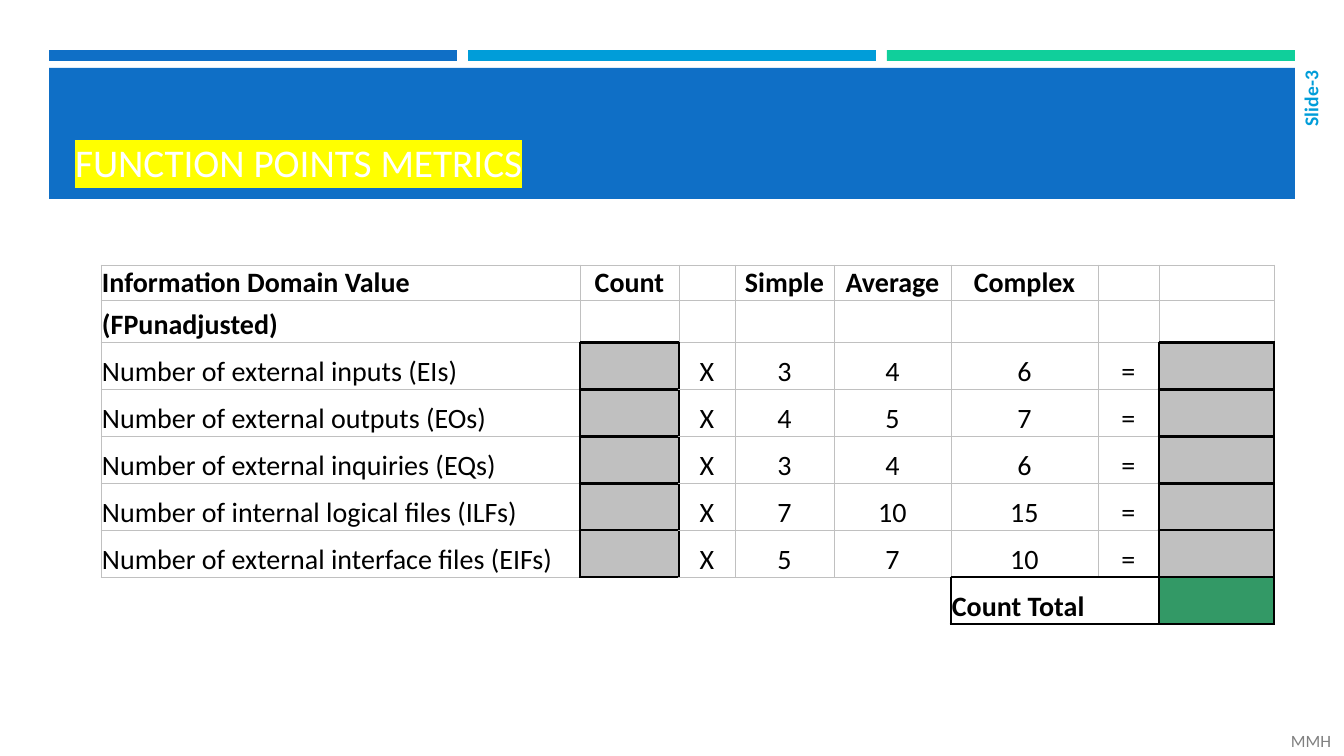
from dataclasses import dataclass
from typing import NamedTuple

import lxml.etree
import pptx
import pptx.dml.color
import pptx.enum.shapes
import pptx.enum.text
import pptx.oxml.ns
import pptx.util

SCALE = 12192000 / 1344
ALIGN = pptx.enum.text.PP_ALIGN
ANCHOR = pptx.enum.text.MSO_ANCHOR
QN = pptx.oxml.ns.qn


@dataclass(frozen=True)
class Theme:
    font: str = "Calibri"
    blue: str = "0F6FC6"
    cyan: str = "009DD9"
    mint: str = "10CF9B"
    white: str = "FFFFFF"
    black: str = "000000"
    mark: str = "FFFF00"
    grid: str = "C0C0C0"
    total: str = "339966"
    mute: str = "808080"
    head: float = 28
    body: float = 20
    side: float = 14
    foot: float = 12.3
    thin: float = 0.5
    thick: float = 2


class Box(NamedTuple):
    left: int
    top: int
    width: int
    height: int


class Bar(NamedTuple):
    box: Box
    color: str


class Style(NamedTuple):
    size: float
    color: str
    bold: bool = False
    align: ALIGN = ALIGN.LEFT


class Metric(NamedTuple):
    name: str
    simple: int
    average: int
    complex: int


THEME = Theme()
BARS = [
    Bar(Box(49 + 419 * i, 50, 408, 11), color)
    for i, color in enumerate((THEME.blue, THEME.cyan, THEME.mint))
] + [Bar(Box(49, 68, 1246, 131), THEME.blue)]

METRICS = [
    Metric("Number of external inputs (EIs)", 3, 4, 6),
    Metric("Number of external outputs (EOs)", 4, 5, 7),
    Metric("Number of external inquiries (EQs)", 3, 4, 6),
    Metric("Number of internal logical files (ILFs)", 7, 10, 15),
    Metric("Number of external interface files (EIFs)", 5, 7, 10),
]
ROWS = [
    ["Information Domain Value", "Count", "", "Simple", "Average", "Complex", "", ""],
    ["(FPunadjusted)"] + [""] * 7,
    *([m.name, "", "X", str(m.simple), str(m.average), str(m.complex), "=", ""]
      for m in METRICS),
    [""] * 5 + ["Count Total", "", ""],
]
WIDTHS = [479, 99, 56, 99, 117, 147, 61, 115]
HEIGHTS = [35, 42] + [47] * 6
LAST = len(ROWS) - 1
SUM = 5  # first column of the total
SIDES = {"lnL": (0, -1), "lnR": (0, 1), "lnT": (-1, 0), "lnB": (1, 0)}


def px(n: int) -> pptx.util.Emu:
    return pptx.util.Emu(round(n * SCALE))


def rgb(color: str) -> pptx.dml.color.RGBColor:
    return pptx.dml.color.RGBColor.from_string(color)


def place(shape, box: Box) -> None:
    shape.left, shape.top, shape.width, shape.height = map(px, box)


def write(para, text: str, style: Style) -> None:
    if text:
        para.add_run().text = text
    para.alignment = style.align
    font = para.font
    font.name, font.bold = THEME.font, style.bold
    font.size = pptx.util.Pt(style.size)
    font.color.rgb = rgb(style.color)


def draw_bar(slide, bar: Bar) -> None:
    shape = slide.shapes.add_shape(
        pptx.enum.shapes.MSO_SHAPE.RECTANGLE, *map(px, bar.box))
    shape.shadow.inherit = False
    shape.fill.solid()
    shape.fill.fore_color.rgb = rgb(bar.color)
    shape.line.fill.background()


def add_note(slide, box: Box, text: str, style: Style):
    frame = slide.shapes.add_textbox(*map(px, box)).text_frame
    frame.margin_left = frame.margin_right = 0
    frame.margin_top = frame.margin_bottom = 0
    frame.vertical_anchor = ANCHOR.MIDDLE
    frame.word_wrap = True
    write(frame.paragraphs[0], text, style)
    return frame


def set_title(slide, text: str) -> None:
    title = slide.shapes.title
    place(title, Box(65, 78, 1215, 112))
    slide.shapes._spTree.append(title._element)  # in front of the banner
    frame = title.text_frame
    frame.auto_size = pptx.enum.text.MSO_AUTO_SIZE.NONE
    frame.vertical_anchor = ANCHOR.BOTTOM
    para = frame.paragraphs[0]
    write(para, text, Style(THEME.head, THEME.white))
    mark = lxml.etree.SubElement(
        para.runs[0]._r.get_or_add_rPr(), QN("a:highlight"))
    lxml.etree.SubElement(mark, QN("a:srgbClr"), val=THEME.mark)


def is_boxed(row: int, col: int) -> bool:
    """Tell whether a cell has a heavy frame."""
    if row == LAST:
        return SUM <= col < len(WIDTHS)
    return 2 <= row < LAST and col in (1, 7)


def set_edges(cell, row: int, col: int) -> None:
    props = cell._tc.get_or_add_tcPr()
    for side, (down, right) in SIDES.items():
        heavy = is_boxed(row, col) or is_boxed(row + down, col + right)
        width = THEME.thick if heavy else THEME.thin
        line = lxml.etree.SubElement(
            props, QN(f"a:{side}"), w=str(pptx.util.Pt(width)))
        if heavy or row < LAST or side == "lnT":
            fill = lxml.etree.SubElement(line, QN("a:solidFill"))
            lxml.etree.SubElement(
                fill, QN("a:srgbClr"), val=THEME.black if heavy else THEME.grid)
        else:
            lxml.etree.SubElement(line, QN("a:noFill"))


def fill_cell(cell, row: int, col: int) -> None:
    cell.margin_left = cell.margin_right = cell.margin_top = px(1)
    cell.margin_bottom = 0
    cell.vertical_anchor = ANCHOR.BOTTOM
    align = ALIGN.CENTER if col and row < LAST else ALIGN.LEFT
    bold = row < 2 or row == LAST
    write(cell.text_frame.paragraphs[0], ROWS[row][col],
          Style(THEME.body, THEME.black, bold, align))
    set_edges(cell, row, col)
    if is_boxed(row, col) and col in (1, 7):
        cell.fill.solid()
        cell.fill.fore_color.rgb = rgb(THEME.total if row == LAST else THEME.grid)
    else:
        cell.fill.background()


def add_grid(slide) -> None:
    box = Box(101, 265, sum(WIDTHS), sum(HEIGHTS))
    table = slide.shapes.add_table(
        len(ROWS), len(WIDTHS), *map(px, box)).table
    table.first_row = table.horz_banding = False
    for column, width in zip(table.columns, WIDTHS):
        column.width = px(width)
    for line, height in zip(table.rows, HEIGHTS):
        line.height = px(height)
    for row in range(len(ROWS)):
        for col in range(len(WIDTHS)):
            fill_cell(table.cell(row, col), row, col)
    table.cell(LAST, SUM).merge(table.cell(LAST, SUM + 1))


def main() -> None:
    deck = pptx.Presentation()
    deck.slide_width, deck.slide_height = px(1344), px(756)
    slide = deck.slides.add_slide(deck.slide_layouts.get_by_name("Title Only"))
    for bar in BARS:
        draw_bar(slide, bar)
    set_title(slide, "FUNCTION POINTS METRICS")
    side = add_note(slide, Box(1298, 71, 25, 88), "Slide-3",
                    Style(THEME.side, THEME.cyan, True, ALIGN.RIGHT))
    side._txBody.bodyPr.set("vert", "vert270")
    add_grid(slide)
    add_note(slide, Box(1291, 726, 53, 30), "MMH", Style(THEME.foot, THEME.mute))
    deck.save("out.pptx")


if __name__ == "__main__":
    main()
